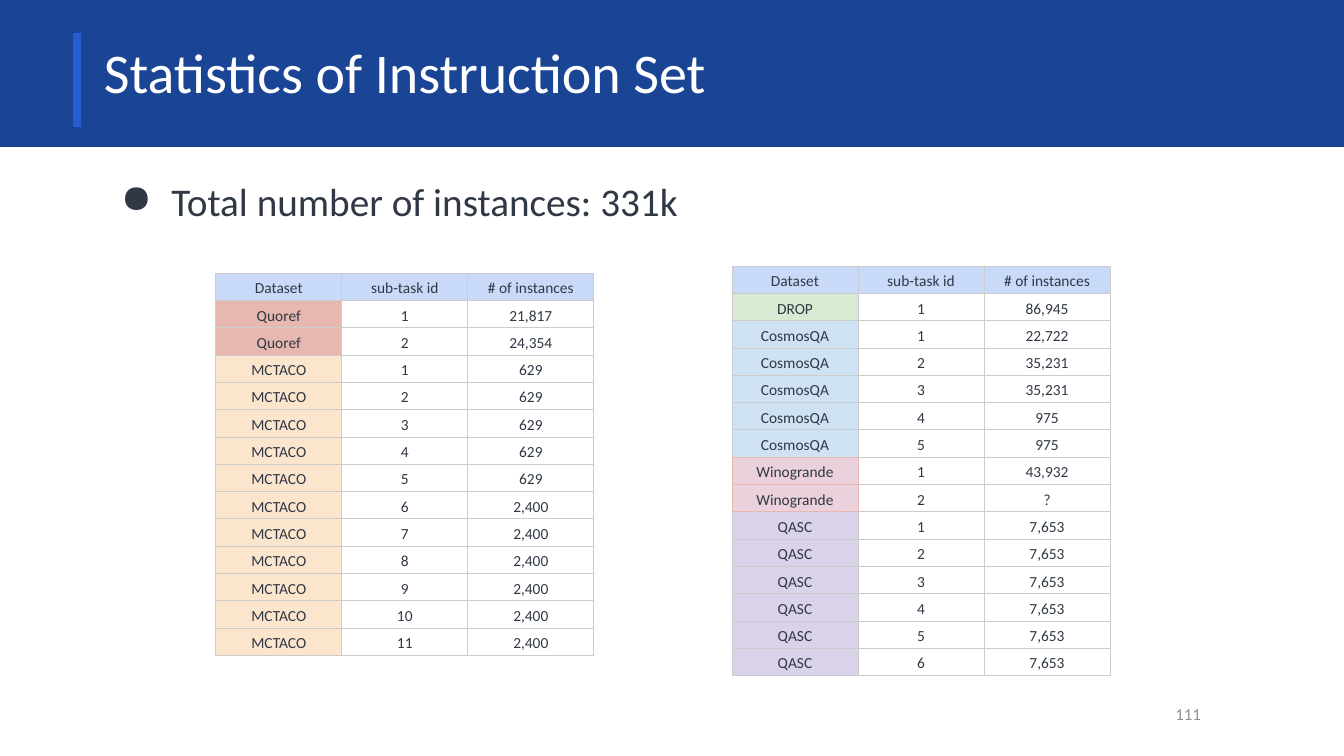
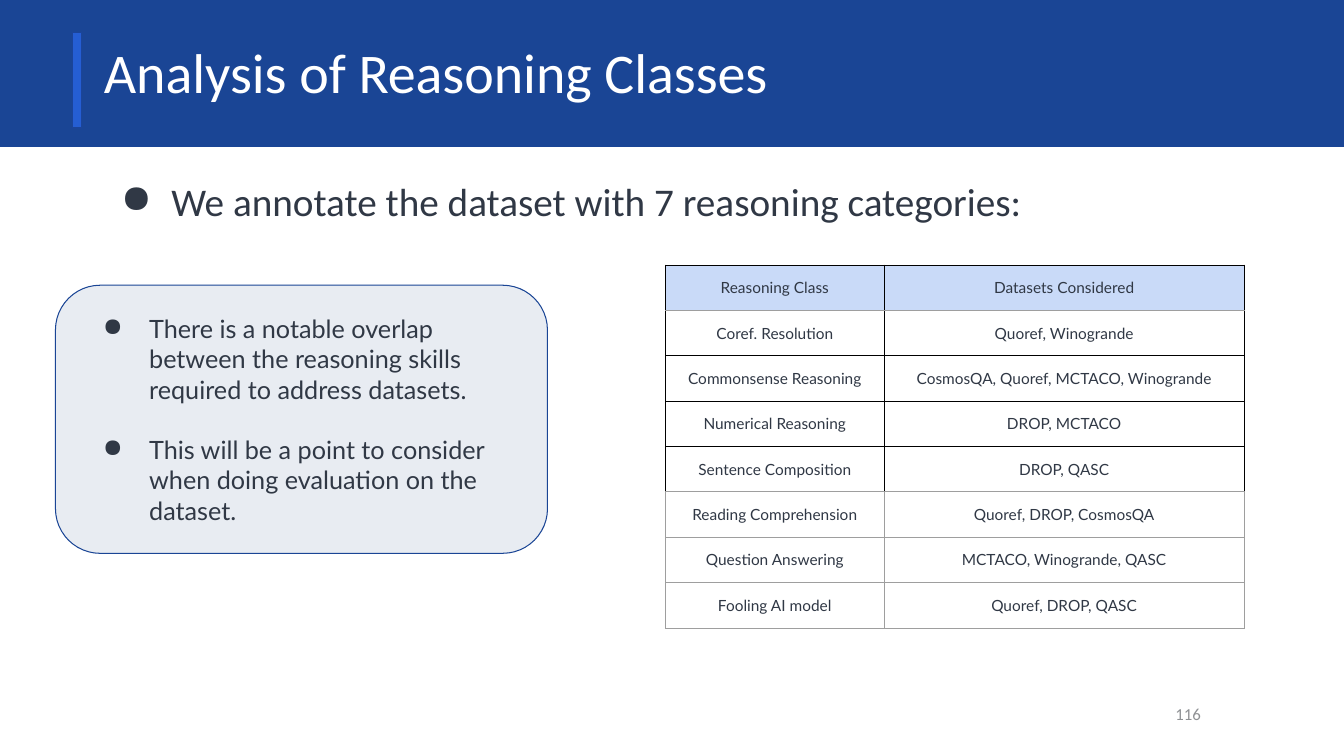
import pptx
import pptx.util
import pptx.dml.color
import pptx.enum.shapes
import pptx.enum.text
import pptx.oxml.ns
import lxml.etree

Inches = pptx.util.Inches
Pt = pptx.util.Pt
Shape = pptx.enum.shapes.MSO_SHAPE
Align = pptx.enum.text.PP_ALIGN
Anchor = pptx.enum.text.MSO_ANCHOR
qn = pptx.oxml.ns.qn

NAVY, BLUE, PALE = "1A4595", "255ED3", "E8ECF2"
INK, MUTED, WHITE, BLACK = "303845", "8F9194", "FFFFFF", "000000"
HEAD, GRID, GRAY, ROSE = "C9DAF8", "CCCCCC", "9E9E9E", "E6B8AF"
PAD = (0.13, 0.13)


def color(code):
    return pptx.dml.color.RGBColor.from_string(code)


class Deck:
    def __init__(self):
        self.file = pptx.Presentation()
        self.file.slide_width = Inches(13.33)
        self.file.slide_height = Inches(7.5)
        self.slide = None

    def page(self, title, lead, number):
        """Start a slide with its band, title, lead bullet and number."""
        self.slide = self.file.slides.add_slide(self.file.slide_layouts[6])
        self.shape(Shape.RECTANGLE, (0, 0, 13.33, 1.45), NAVY, NAVY, 1)
        self.shape(Shape.RECTANGLE, (0.72, 0.32, 0.09, 0.95), BLUE, "1B4499", 1)
        self.text((0.9, 0.32, 11.65, 0.84), title, 40, WHITE)
        body = self.text((0.9, 1.68, 12.04, 0.84), lead, 28, INK)
        self.bullet(body.paragraphs[0], 0.5)
        self.style(body.paragraphs[0], 28, INK)
        note = self.text((11.24, 6.8, 0.8, 0.57), number, 12, MUTED, 1)
        note.vertical_anchor = Anchor.MIDDLE
        note.paragraphs[0].alignment = Align.RIGHT

    def shape(self, kind, box, fill, line, width):
        shape = self.slide.shapes.add_shape(kind, *map(Inches, box))
        shape.shadow.inherit = False
        shape.fill.solid()
        shape.fill.fore_color.rgb = color(fill)
        shape.line.color.rgb = color(line)
        shape.line.width = Pt(width)
        return shape

    def inset(self, item, pad):
        """Set the margins of a text frame or cell from (side, top) inches."""
        item.margin_left = item.margin_right = Inches(pad[0])
        item.margin_top = item.margin_bottom = Inches(pad[1])

    def style(self, para, size, ink, font="Calibri"):
        para.font.size = Pt(size)
        para.font.name = font
        para.font.color.rgb = color(ink)

    def bullet(self, para, hang):
        props = para._p.get_or_add_pPr()
        props.set("marL", str(Inches(0.67)))
        props.set("indent", str(-Inches(hang)))
        lxml.etree.SubElement(props, qn("a:buChar")).set("char", "●")

    def text(self, box, words, size, ink, space=0.9):
        frame = self.slide.shapes.add_textbox(*map(Inches, box)).text_frame
        frame.word_wrap = True
        self.inset(frame, PAD)
        frame.text = words
        frame.paragraphs[0].line_spacing = space
        self.style(frame.paragraphs[0], size, ink)
        return frame

    def card(self, box, points):
        """Rounded panel holding a bulleted list."""
        frame = self.shape(Shape.ROUNDED_RECTANGLE, box, PALE, NAVY, 0.75).text_frame
        frame.word_wrap = True
        frame.vertical_anchor = Anchor.MIDDLE
        self.inset(frame, PAD)
        frame.text = "\n".join(points)
        for index, para in enumerate(frame.paragraphs):
            para.alignment = Align.LEFT
            if index:
                para.space_before = Pt(21.6)
            self.bullet(para, 0.46)
            self.style(para, 18, INK, "Lato")

    def edge(self, cell, side, line):
        props = cell._tc.get_or_add_tcPr()
        tag = qn("a:ln" + side)
        item = props.find(tag)
        if item is None:
            item = lxml.etree.SubElement(props, tag)
        item.clear()
        item.set("w", str(Pt(0.75)))
        fill = lxml.etree.SubElement(item, qn("a:solidFill"))
        lxml.etree.SubElement(fill, qn("a:srgbClr")).set("val", line)

    def rim(self, table, row, col, line, sides="LRTB"):
        """Recolour cell sides, along with the facing sides of its neighbours."""
        near = {"L": (0, -1, "R"), "R": (0, 1, "L"),
                "T": (-1, 0, "B"), "B": (1, 0, "T")}
        for side in sides:
            down, over, facing = near[side]
            self.edge(table.cell(row, col), side, line)
            r, c = row + down, col + over
            if 0 <= r < len(table.rows) and 0 <= c < len(table.columns):
                self.edge(table.cell(r, c), facing, line)

    def table(self, spot, widths, height, rows, line, font="Calibri",
              anchor=Anchor.MIDDLE, pad=PAD, space=1):
        size = (sum(widths), height * len(rows))
        table = self.slide.shapes.add_table(
            len(rows), len(widths), *map(Inches, spot + size)).table
        table.first_row = table.horz_banding = False
        for column, width in zip(table.columns, widths):
            column.width = Inches(width)
        for r, row in enumerate(rows):
            table.rows[r].height = Inches(height)
            for c, words in enumerate(row):
                cell = table.cell(r, c)
                for side in "LRTB":
                    self.edge(cell, side, line)
                self.paint(cell, None if r else HEAD)
                self.inset(cell, pad)
                cell.vertical_anchor = anchor
                cell.text_frame.text = words
                para = cell.text_frame.paragraphs[0]
                para.alignment = Align.CENTER
                para.line_spacing = space
                self.style(para, 11, INK, font)
        return table

    def paint(self, cell, fill):
        if fill:
            cell.fill.solid()
            cell.fill.fore_color.rgb = color(fill)
        else:
            cell.fill.background()

    def counts(self, spot, groups):
        """Table of sub-task sizes from (dataset, fill, sizes) groups."""
        rows = [("Dataset", "sub-task id", "# of instances")]
        fills = []
        for name, fill, sizes in groups:
            rows += [(name, str(n), size) for n, size in enumerate(sizes, 1)]
            fills += [fill] * len(sizes)
        table = self.table(spot, (1.25, 1.25, 1.25), 0.27, rows, GRID,
                           anchor=Anchor.BOTTOM, pad=(0.04, 0.03), space=1.15)
        for row, fill in enumerate(fills, 1):
            self.paint(table.cell(row, 0), fill)
        return table


def stats(deck):
    deck.page("Statistics of Instruction Set",
              "Total number of instances: 331k", "111")
    table = deck.counts((7.26, 2.64), [
        ("DROP", "D9EAD3", ["86,945"]),
        ("CosmosQA", "CFE2F3", ["22,722", "35,231", "35,231", "975", "975"]),
        ("Winogrande", "EAD1DC", ["43,932", "?"]),
        ("QASC", "D9D2E9", ["7,653"] * 6),
    ])
    for row in (7, 8):
        deck.rim(table, row, 0, ROSE)
    deck.counts((2.14, 2.71), [
        ("Quoref", ROSE, ["21,817", "24,354"]),
        ("MCTACO", "FCE5CD", ["629"] * 5 + ["2,400"] * 6),
    ])


def classes(deck):
    deck.page("Analysis of Reasoning Classes",
              "We annotate the dataset with 7 reasoning categories:", "116")
    table = deck.table((6.6, 2.63), (2.17, 3.57), 0.45, [
        ("Reasoning Class", "Datasets Considered"),
        ("Coref. Resolution", "Quoref, Winogrande"),
        ("Commonsense Reasoning", "CosmosQA, Quoref, MCTACO, Winogrande"),
        ("Numerical Reasoning", "DROP, MCTACO"),
        ("Sentence Composition", "DROP, QASC"),
        ("Reading Comprehension", "Quoref, DROP, CosmosQA"),
        ("Question Answering", "MCTACO, Winogrande, QASC"),
        ("Fooling AI model", "Quoref, DROP, QASC"),
    ], GRAY, "Lato")
    for col in (0, 1):
        for row in range(5):
            deck.rim(table, row, col, BLACK)
        for row in (0, 4):
            deck.rim(table, row, col, GRAY, "B")
    deck.card((0.55, 2.83, 4.88, 2.66), [
        "There is a notable overlap between the reasoning skills "
        "required to address datasets.",
        "This will be a point to consider when doing evaluation on the dataset.",
    ])


def main():
    deck = Deck()
    stats(deck)
    classes(deck)
    deck.file.save("out.pptx")


if __name__ == "__main__":
    main()
